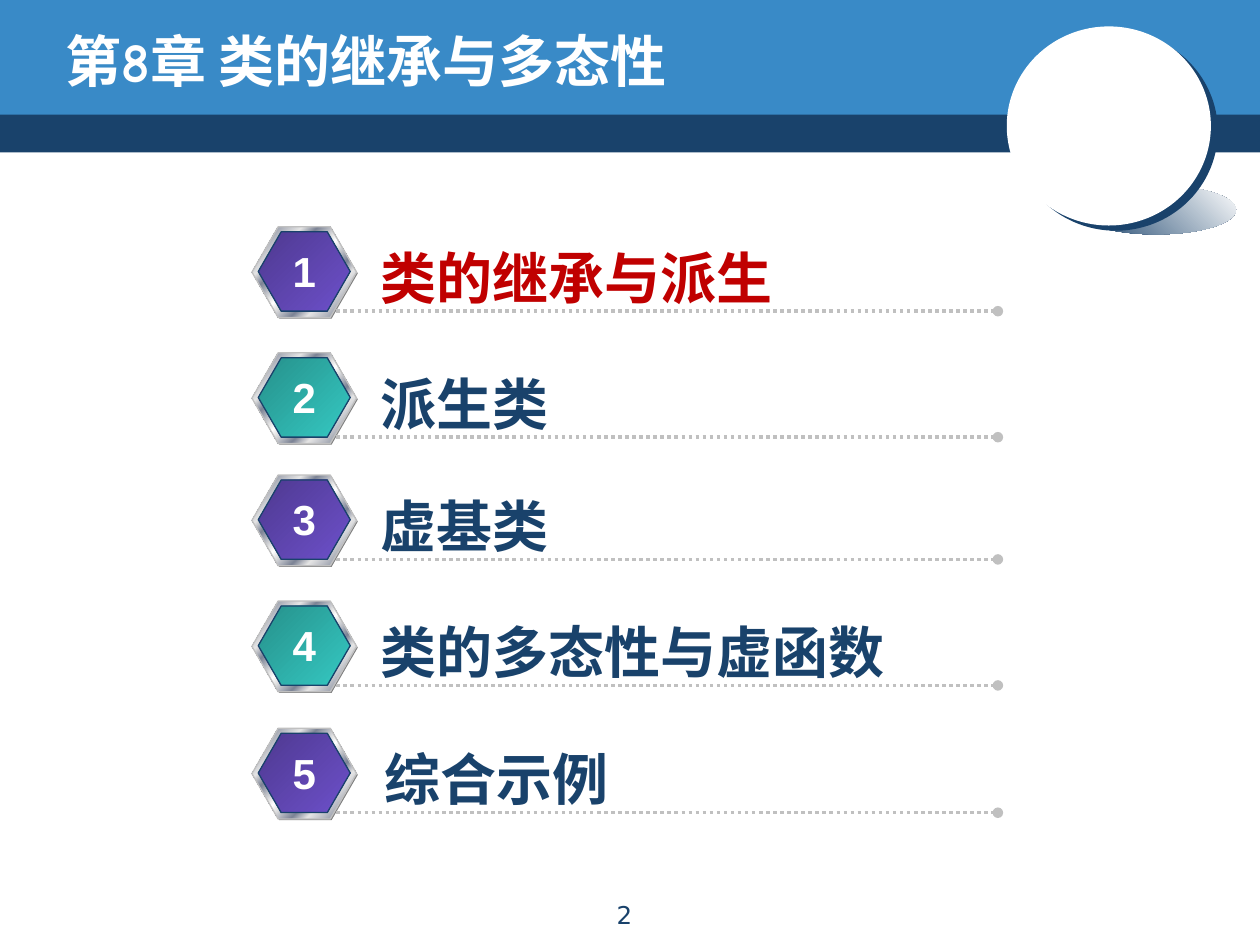
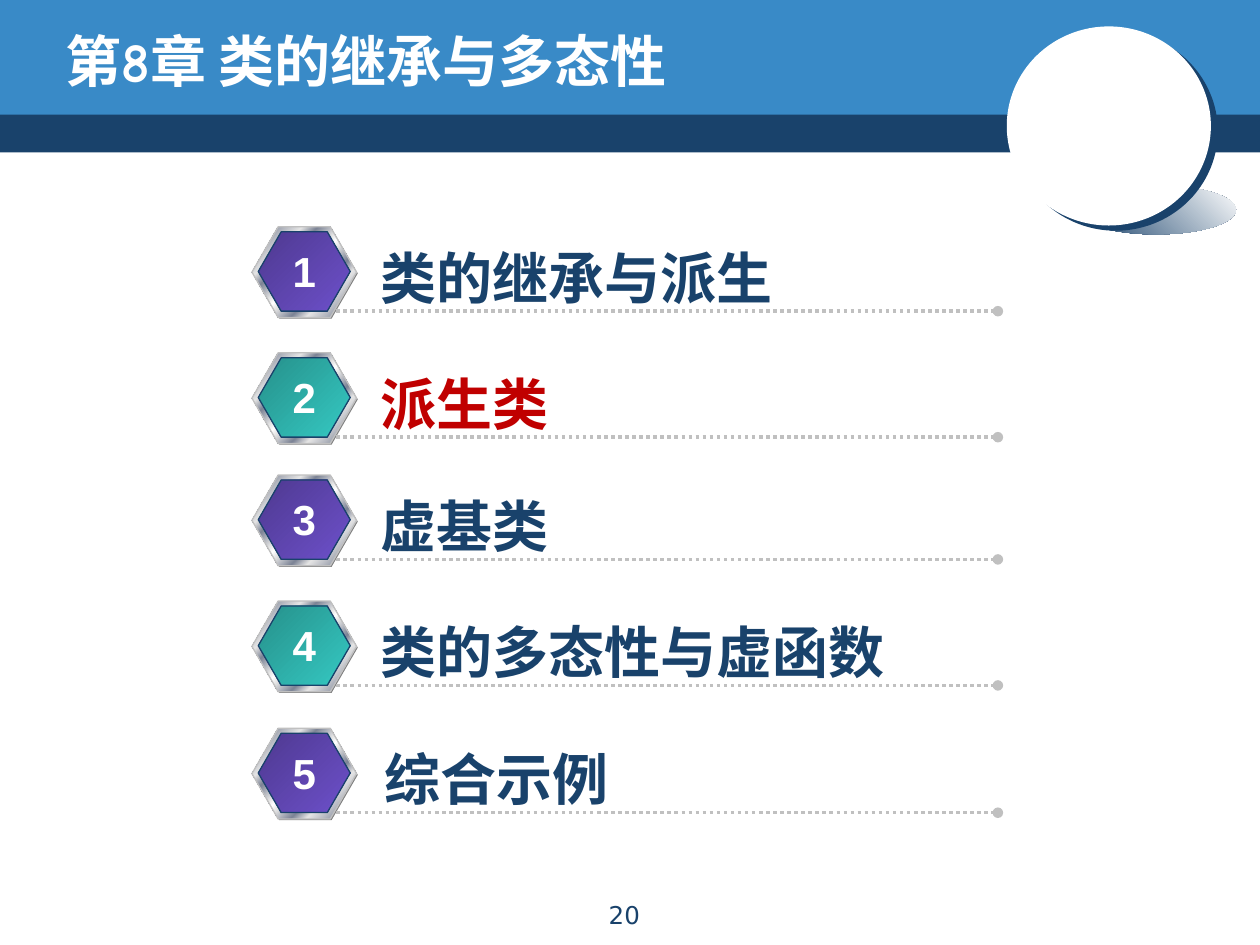
from pptx import Presentation
from pptx.dml.color import RGBColor
from pptx.enum.dml import MSO_LINE
from pptx.enum.shapes import MSO_CONNECTOR, MSO_SHAPE
from pptx.enum.text import MSO_ANCHOR, MSO_AUTO_SIZE, PP_ALIGN
from pptx.oxml.ns import qn
from pptx.util import Inches, Pt
from lxml.etree import SubElement

COLORS = {
    "navy": "19426B", "blue": "398AC7", "white": "FFFFFF", "red": "C00000",
    "gray": "808080", "silver": "C0C0C0", "steel": "7D8496", "light": "E6E6E6",
    "violet": "4E3990", "lilac": "6D50CA", "teal": "26908B", "aqua": "35C9C2",
}
FORMATS = {
    "title": {"name": "Comic Neue", "size": Pt(32), "bold": True},
    "topic": {"name": "Arial", "size": Pt(32), "bold": True},
    "number": {"name": "Arial", "size": Pt(24), "bold": True},
    "page": {"name": "DejaVu Sans", "size": Pt(14)},
}
METAL = [(0, "light"), (7, "steel"), (26, "light"), (34, "steel"), (46, "light"),
         (50, "white"), (54, "light"), (66, "steel"), (74, "light"), (93, "steel"),
         (100, "light")]
BADGE_FILLS = [[(0, "violet"), (100, "lilac")], [(0, "teal"), (100, "aqua")]]

TITLE = "第8章 类的继承与多态性"
# Topic, top of its row, left and width of its text
TOPICS = [
    ("类的继承与派生", 1.80, 2.92, 3.36),
    ("派生类", 2.80, 2.92, 1.55),
    ("虚基类", 3.77, 2.92, 1.55),
    ("类的多态性与虚函数", 4.77, 2.92, 4.26),
    ("综合示例", 5.78, 2.95, 2.00),
]


def rgb(color):
    return RGBColor.from_string(COLORS[color])


def fill_gradient(sp, stops, angle):
    """Fill with (percent, colour) stops; the angle runs clockwise."""
    sp.fill.gradient()
    sp.fill.gradient_angle = (360 - angle) % 360
    gs_list = sp._element.spPr.find(qn("a:gradFill")).find(qn("a:gsLst"))
    for gs in list(gs_list):
        gs_list.remove(gs)
    for percent, color in stops:
        gs = SubElement(gs_list, qn("a:gs"), pos=str(percent * 1000))
        SubElement(gs, qn("a:srgbClr"), val=COLORS[color])


def add_figure(shapes, kind, box, fill, angle=45, line=None):
    """Add a preset shape; fill is a colour name or a list of gradient stops."""
    sp = shapes.add_shape(kind, *map(Inches, box))
    sp.shadow.inherit = False
    if isinstance(fill, str):
        sp.fill.solid()
        sp.fill.fore_color.rgb = rgb(fill)
    else:
        fill_gradient(sp, fill, angle)
    if line:
        sp.line.color.rgb = rgb(line)
        sp.line.width = Pt(0.75)
    else:
        sp.line.fill.background()
    return sp


def add_text(s, text, box, style, color, align=PP_ALIGN.LEFT,
             anchor=MSO_ANCHOR.TOP, wrap=True):
    tb = s.shapes.add_textbox(*map(Inches, box))
    tf = tb.text_frame
    tf.word_wrap = wrap
    tf.auto_size = MSO_AUTO_SIZE.NONE if wrap else MSO_AUTO_SIZE.SHAPE_TO_FIT_TEXT
    tf.vertical_anchor = anchor
    p = tf.paragraphs[0]
    p.alignment = align
    r = p.add_run()
    r.text = text
    for key, value in FORMATS[style].items():
        setattr(r.font, key, value)
    r.font.color.rgb = rgb(color)


def add_medallion(s):
    shapes = s.shapes.add_group_shape().shapes
    add_figure(shapes, MSO_SHAPE.OVAL, (8.54, 1.47, 1.27, 0.39),
               [(0, "navy"), (100, "white")], angle=315)
    disc = add_figure(shapes, MSO_SHAPE.OVAL, (7.99, 0.21, 1.62, 1.58), "white")
    effects = disc._element.spPr.find(qn("a:effectLst"))
    shadow = SubElement(effects, qn("a:outerShdw"), blurRad="0", dist=str(Pt(5)),
                        dir=str(37 * 60000), algn="ctr", rotWithShape="0")
    SubElement(shadow, qn("a:srgbClr"), val=COLORS["navy"])
    add_figure(shapes, MSO_SHAPE.OVAL, (8.54, 0.68, 0.57, 0.59), "white")


def add_frame(s, page):
    """Add what every slide shares: bands, medallion, title and page number."""
    add_figure(s.shapes, MSO_SHAPE.RECTANGLE, (0, 0.87, 10, 0.34), "navy")
    add_figure(s.shapes, MSO_SHAPE.RECTANGLE, (0, 0, 10, 0.91), "blue")
    add_medallion(s)
    add_text(s, TITLE, (0.42, 0.17, 8.08, 0.62), "title", "white",
             anchor=MSO_ANCHOR.MIDDLE)
    add_text(s, str(page), (4.05, 7.09, 1.81, 0.32), "page", "navy",
             align=PP_ALIGN.CENTER)


def add_badge(s, number, top):
    shapes = s.shapes.add_group_shape().shapes
    layers = [
        ((2.01, top + 0.01, 0.83, 0.72), "gray", None),
        ((2.00, top, 0.83, 0.72), METAL, "silver"),
        ((2.05, top + 0.04, 0.73, 0.63), BADGE_FILLS[(number - 1) % 2], "navy"),
    ]
    for box, fill, line in layers:
        sp = add_figure(shapes, MSO_SHAPE.HEXAGON, box, fill, line=line)
        sp.adjustments[0] = 0.289


def add_dotted_line(s, y):
    cx = s.shapes.add_connector(MSO_CONNECTOR.STRAIGHT, Inches(2.67), Inches(y),
                                Inches(7.92), Inches(y))
    cx.line.color.rgb = rgb("silver")
    cx.line.width = Pt(2)
    cx.line.dash_style = MSO_LINE.ROUND_DOT
    spPr = cx._element.spPr
    SubElement(spPr.find(qn("a:ln")), qn("a:tailEnd"), type="oval")
    SubElement(spPr, qn("a:effectLst"))


def add_topic(s, number, topic, color):
    text, top, left, width = topic
    add_badge(s, number, top)
    add_dotted_line(s, top + 0.67)
    add_text(s, text, (left, top + 0.08, width, 0.64), "topic", color, wrap=False)
    add_text(s, str(number), (2.22, top + 0.1, 0.39, 0.5), "number", "white",
             align=PP_ALIGN.CENTER, wrap=False)


def add_agenda(prs, page, current):
    """Add a slide listing all topics, with the current one in red."""
    s = prs.slides.add_slide(prs.slide_layouts[6])
    add_frame(s, page)
    for number, topic in enumerate(TOPICS, 1):
        add_topic(s, number, topic, "red" if number == current else "navy")


def main():
    prs = Presentation()
    prs.slide_width, prs.slide_height = Inches(10), Inches(7.5)
    add_agenda(prs, page=2, current=1)
    add_agenda(prs, page=20, current=2)
    prs.save("out.pptx")


if __name__ == "__main__":
    main()
